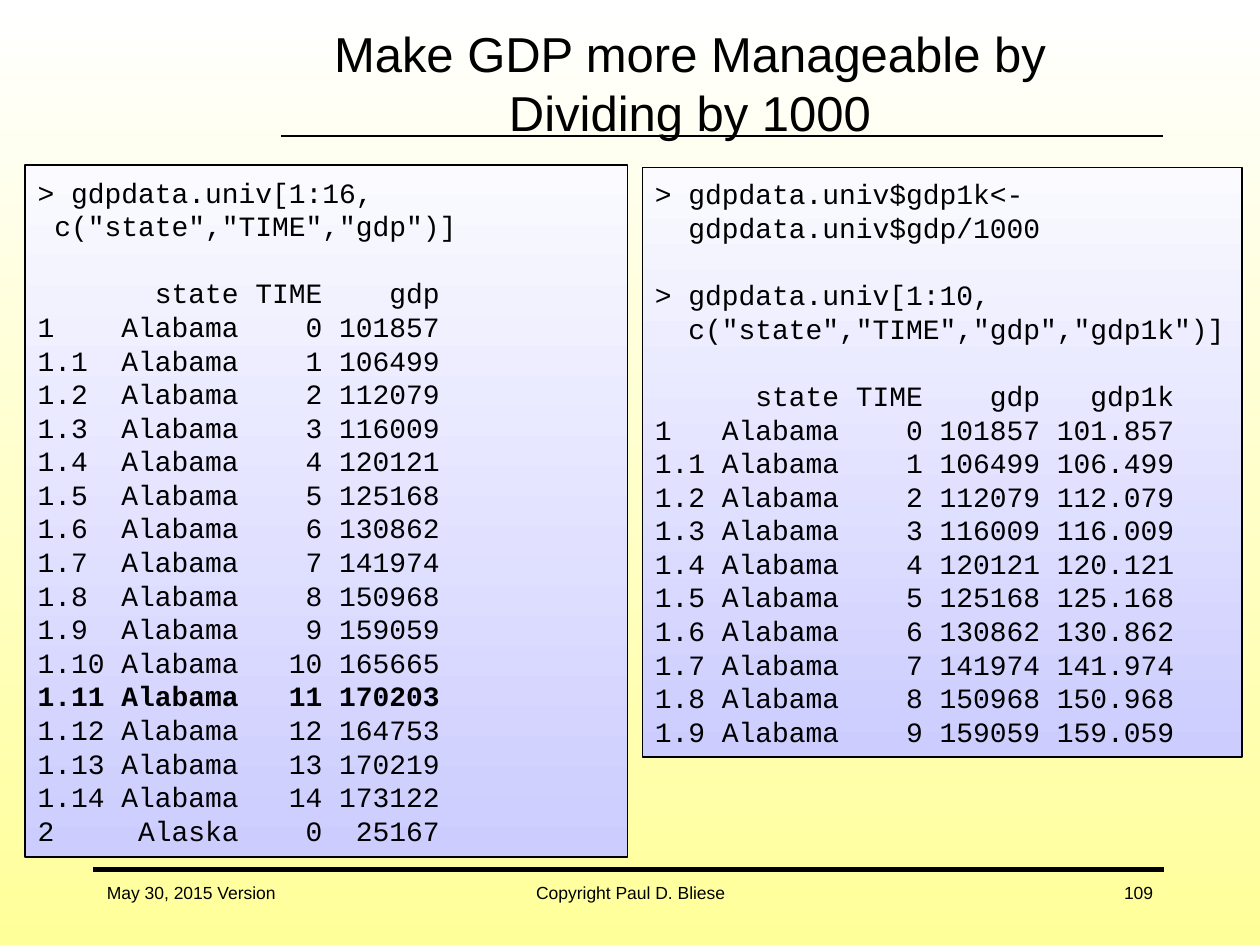
from dataclasses import dataclass

from lxml.etree import SubElement
from pptx import Presentation
from pptx.dml.color import RGBColor
from pptx.enum.shapes import MSO_CONNECTOR as Connector, MSO_SHAPE as Shape
from pptx.enum.text import MSO_ANCHOR as Anchor, MSO_AUTO_SIZE as AutoSize, PP_ALIGN as Align
from pptx.oxml.ns import qn
from pptx.util import Inches, Pt

BLACK = "000000"
CODE_PITCH = 19.2
GDP = [101857, 106499, 112079, 116009, 120121, 125168, 130862, 141974,
       150968, 159059, 165665, 170203, 164753, 170219, 173122]
PEAK_TIME = 11


@dataclass
class Rule:
    left: float
    right: float
    y: float
    weight: float


@dataclass
class FooterItem:
    wording: str
    left: float
    width: float
    align: Align


@dataclass
class CodePanel:
    left: float
    top: float
    width: float
    height: float
    blocks: list[list[str]]
    bold_line: str = ""


def rgb(value: str) -> RGBColor:
    return RGBColor.from_string(value)


def fill_downward(fill, top_color: str, bottom_color: str) -> None:
    fill.gradient()
    fill.gradient_angle = 270
    for stop, color, position in zip(fill.gradient_stops, (top_color, bottom_color), (0, 1)):
        stop.color.rgb = rgb(color)
        stop.position = position


def format_paragraph(paragraph, font_name: str, size: float, align: Align, bold: bool = False) -> None:
    paragraph.alignment = align
    for run in paragraph.runs:
        run.font.name = font_name
        run.font.size = Pt(size)
        run.font.bold = bold
        run.font.color.rgb = rgb(BLACK)


def set_up_frame(frame) -> None:
    frame.word_wrap = True
    frame.auto_size = AutoSize.NONE
    frame.vertical_anchor = Anchor.MIDDLE


def draw_rule(slide, rule: Rule) -> None:
    line = slide.shapes.add_connector(
        Connector.STRAIGHT, Inches(rule.left), Inches(rule.y), Inches(rule.right), Inches(rule.y))
    line.line.color.rgb = rgb(BLACK)
    line.line.width = Pt(rule.weight)
    SubElement(line._element.spPr, qn("a:effectLst"))


def draw_title(slide, wording: str) -> None:
    title = slide.shapes.title
    title.left, title.top = Inches(1.89), Inches(0.24)
    title.width, title.height = Inches(7.17), Inches(0.83)
    title.text_frame.text = wording
    set_up_frame(title.text_frame)
    heading = title.text_frame.paragraphs[0]
    heading.line_spacing = Pt(33.7)
    format_paragraph(heading, "Arial", 28, Align.CENTER)


def draw_footer_item(slide, item: FooterItem) -> None:
    box = slide.shapes.add_textbox(Inches(item.left), Inches(6.83), Inches(item.width), Inches(0.5))
    box.text_frame.text = item.wording
    set_up_frame(box.text_frame)
    format_paragraph(box.text_frame.paragraphs[0], "Arial", 10, item.align)


def draw_code_panel(slide, panel: CodePanel) -> None:
    box = slide.shapes.add_shape(
        Shape.RECTANGLE, Inches(panel.left), Inches(panel.top), Inches(panel.width), Inches(panel.height))
    box.shadow.inherit = False
    fill_downward(box.fill, "FAFAFF", "CCCCFF")
    box.line.color.rgb = rgb(BLACK)
    box.line.width = Pt(1)
    frame = box.text_frame
    frame.text = "\n".join(line for block in panel.blocks for line in block)
    set_up_frame(frame)
    block_starts = [block[0] for block in panel.blocks[1:]]
    for paragraph in frame.paragraphs:
        paragraph.line_spacing = Pt(CODE_PITCH)
        if paragraph.text in block_starts:
            paragraph.space_before = Pt(CODE_PITCH)
        format_paragraph(paragraph, "Courier New", 16, Align.LEFT, paragraph.text == panel.bold_line)


def row_label(time: int) -> str:
    return f"1.{time}" if time else "1"


def state_row(label: str, state: str, time: int, gdp: int) -> str:
    return f"{label:<5}{state:>7}{time:>5}{gdp:>7}"


def scaled_row(time: int, gdp: int) -> str:
    return f"{row_label(time):<4}Alabama{time:>5}{gdp:>7}{gdp / 1000:>8.3f}"


def main() -> None:
    alabama_rows = [state_row(row_label(time), "Alabama", time, gdp) for time, gdp in enumerate(GDP)]
    scaled_rows = [scaled_row(time, gdp) for time, gdp in enumerate(GDP[:10])]
    panels = [
        CodePanel(0.2, 1.31, 4.78, 5.49, [
            ["> gdpdata.univ[1:16,", ' c("state","TIME","gdp")]'],
            ["       state TIME    gdp", *alabama_rows, state_row("2", "Alaska", 0, 25167)],
        ], alabama_rows[PEAK_TIME]),
        CodePanel(5.1, 1.33, 4.76, 4.68, [
            ["> gdpdata.univ$gdp1k<-", "  gdpdata.univ$gdp/1000"],
            ["> gdpdata.univ[1:10,", '  c("state","TIME","gdp","gdp1k")]'],
            ["      state TIME    gdp   gdp1k", *scaled_rows],
        ]),
    ]
    footer = [
        FooterItem("May 30, 2015 Version", 0.75, 2.08, Align.LEFT),
        FooterItem("Copyright Paul D. Bliese", 3.42, 3.17, Align.CENTER),
        FooterItem("109", 7.17, 2.08, Align.RIGHT),
    ]

    deck = Presentation()
    deck.slide_width, deck.slide_height = Inches(10), Inches(7.5)
    slide = deck.slides.add_slide(deck.slide_layouts.get_by_name("Title Only"))
    fill_downward(slide.background.fill, "FFFFFF", "FFFF99")
    for rule in (Rule(2.23, 9.23, 1.08, 1), Rule(0.74, 9.24, 6.9, 2.75)):
        draw_rule(slide, rule)
    draw_title(slide, "Make GDP more Manageable by Dividing by 1000")
    for item in footer:
        draw_footer_item(slide, item)
    for panel in panels:
        draw_code_panel(slide, panel)
    deck.save("out.pptx")


if __name__ == "__main__":
    main()
